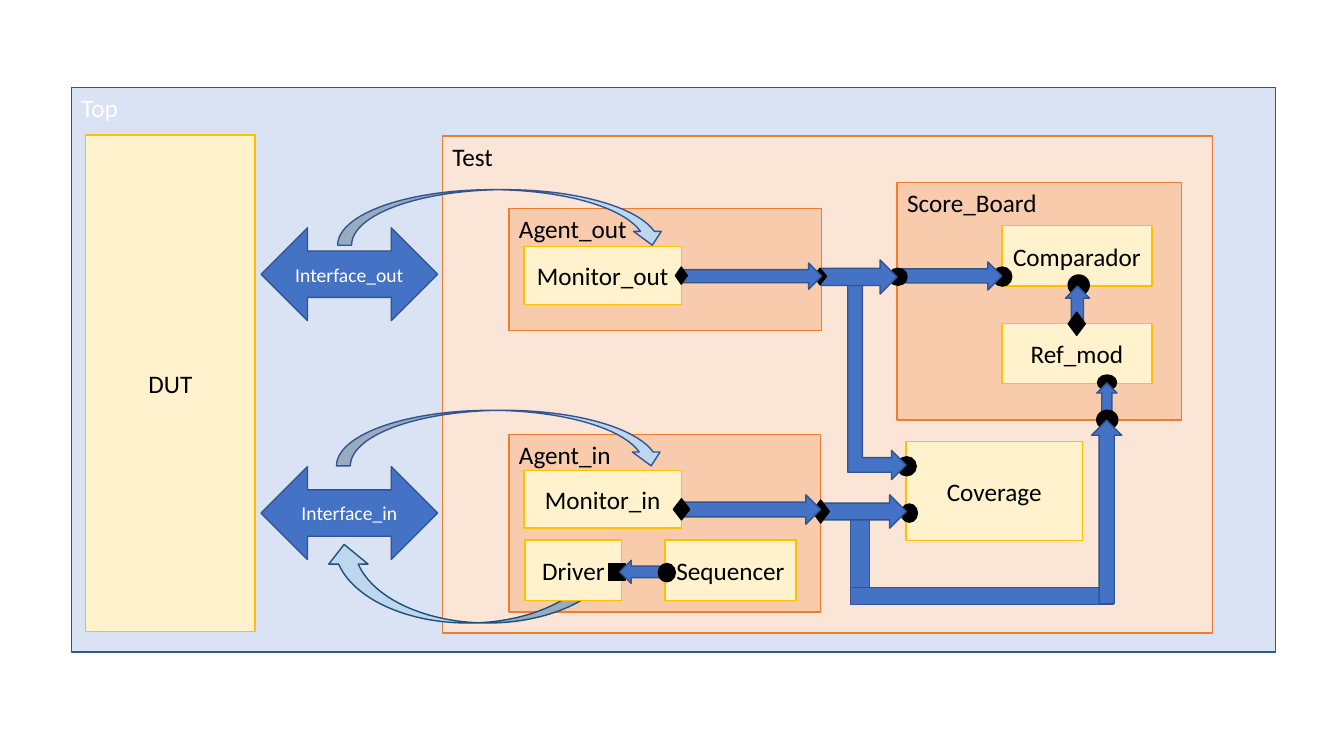
from pptx import Presentation
from pptx.dml.color import RGBColor
from pptx.enum.shapes import MSO_SHAPE
from pptx.enum.text import MSO_ANCHOR, PP_ALIGN
from pptx.util import Cm, Pt

RECTANGLE = MSO_SHAPE.RECTANGLE
ELLIPSE = MSO_SHAPE.OVAL
DIAMOND = MSO_SHAPE.FLOWCHART_DECISION
RIGHT = MSO_SHAPE.RIGHT_ARROW
LEFT = MSO_SHAPE.LEFT_ARROW
UP = MSO_SHAPE.UP_ARROW
BOTH = MSO_SHAPE.LEFT_RIGHT_ARROW
BENT = MSO_SHAPE.BENT_UP_ARROW
CURVED_DOWN = MSO_SHAPE.CURVED_DOWN_ARROW
CURVED_UP = MSO_SHAPE.CURVED_UP_ARROW
TOP, MIDDLE = MSO_ANCHOR.TOP, MSO_ANCHOR.MIDDLE
ALIGN_LEFT, CENTER = PP_ALIGN.LEFT, PP_ALIGN.CENTER


def color(value):
    return RGBColor.from_string(value)


class Diagram:
    font = "Calibri"
    black, white = "000000", "FFFFFF"
    blue, navy = "4472C4", "325491"
    orange, yellow, cream = "ED7D31", "FFC000", "FFF2CC"
    sky, deep_blue = "BDD7EE", "1F4E79"

    def __init__(self, slide):
        self.slide = slide

    def shape(self, kind, left, top, width, height, fill, line):
        shape = self.slide.shapes.add_shape(kind, Cm(left), Cm(top), Cm(width), Cm(height))
        shape.shadow.inherit = False
        shape.fill.solid()
        shape.fill.fore_color.rgb = color(fill)
        shape.line.color.rgb = color(line)
        shape.line.width = Pt(1)
        return shape

    def label(self, shape, text, size, ink, anchor, alignment):
        frame = shape.text_frame
        frame.word_wrap = True
        frame.vertical_anchor = anchor
        paragraph = frame.paragraphs[0]
        paragraph.text = text
        paragraph.alignment = alignment
        paragraph.font.name = self.font
        paragraph.font.size = Pt(size)
        paragraph.font.color.rgb = color(ink)

    def container(self, text, left, top, width, height, fill, line=orange, ink=black):
        shape = self.shape(RECTANGLE, left, top, width, height, fill, line)
        self.label(shape, text, 18, ink, TOP, ALIGN_LEFT)

    def block(self, text, left, top, width, height):
        shape = self.shape(RECTANGLE, left, top, width, height, self.cream, self.yellow)
        self.label(shape, text, 18, self.black, MIDDLE, CENTER)

    def interface(self, text, top):
        shape = self.shape(BOTH, 6.58, top, 4.45, 2.34, self.blue, self.navy)
        self.label(shape, text, 14, self.white, MIDDLE, CENTER)

    def flow(self, kind, left, top, width, height, rotation=0):
        shape = self.shape(kind, left, top, width, height, self.blue, self.navy)
        shape.rotation = rotation

    def port(self, kind, left, top, width, height):
        self.shape(kind, left, top, width, height, self.black, self.black)

    def monitor_curve(self, left, top):
        self.shape(CURVED_DOWN, left, top, 8.28, 1.4, self.sky, self.navy)

    def driver_curve(self, left, top, width, height):
        shape = self.shape(CURVED_UP, left, top, width, height, self.sky, self.deep_blue)
        shape._element.spPr.xfrm.set("flipH", "1")


def main():
    presentation = Presentation()
    presentation.slide_width = Cm(33.87)
    presentation.slide_height = Cm(19.05)
    slide = presentation.slides.add_slide(presentation.slide_layouts[6])
    diagram = Diagram(slide)

    diagram.container("Top", 1.8, 2.21, 30.35, 14.22, "DAE3F3", diagram.navy, diagram.white)
    diagram.container("Test", 11.15, 3.43, 19.41, 12.52, "FBE5D6")
    diagram.block("DUT", 2.16, 3.4, 4.27, 12.52)
    for text, *place in [
        ("Agent_out", 12.83, 5.26, 7.87, 3.07),
        ("Score_Board", 22.61, 4.6, 7.16, 5.99),
        ("Agent_in", 12.83, 10.95, 7.85, 4.47),
    ]:
        diagram.container(text, *place, "F8CBAD")
    diagram.block("Coverage", 22.83, 11.13, 4.45, 2.49)
    diagram.block("Monitor_out", 13.21, 6.22, 3.96, 1.45)
    diagram.block("Comparador", 25.25, 5.69, 3.78, 1.52)
    diagram.interface("Interface_out", 5.74)
    diagram.interface("Interface_in", 11.76)

    diagram.flow(RECTANGLE, 21.44, 12.7, 0.48, 2.54)
    diagram.flow(RECTANGLE, 21.44, 14.81, 6.63, 0.43)
    diagram.driver_curve(8.18, 13.72, 7.47, 1.98)
    diagram.block("Driver", 13.23, 13.61, 2.44, 1.52)
    diagram.monitor_curve(8.48, 10.34)
    diagram.monitor_curve(8.51, 4.78)

    diagram.port(ELLIPSE, 26.92, 6.93, 0.53, 0.51)
    diagram.flow(UP, 26.85, 7.21, 0.61, 2.21)
    diagram.block("Ref_mod", 25.25, 8.15, 3.78, 1.52)
    for port, arrow, place in [
        ((27.66, 9.45, 0.48, 0.38), UP, (27.64, 9.65, 0.51, 0.94)),
        ((27.64, 10.34, 0.53, 0.48), UP, (27.51, 10.59, 0.76, 4.62)),
        ((22.71, 12.7, 0.41, 0.46), RIGHT, (20.68, 12.47, 2.16, 0.84)),
        ((22.61, 11.51, 0.48, 0.48), BENT, (19.51, 8.76, 5.18, 1.47, 90)),
        ((25.02, 6.73, 0.48, 0.48), RIGHT, (22.68, 6.6, 2.57, 0.71)),
        ((22.4, 6.76, 0.46, 0.43), RIGHT, (20.68, 6.55, 1.93, 0.86)),
    ]:
        diagram.port(ELLIPSE, *port)
        diagram.flow(arrow, *place)

    diagram.port(RECTANGLE, 15.34, 14.2, 0.41, 0.43)
    diagram.flow(LEFT, 15.62, 14.12, 2.74, 0.58)
    diagram.block("Sequencer", 16.76, 13.61, 3.3, 1.52)
    diagram.port(ELLIPSE, 16.59, 14.2, 0.43, 0.46)

    diagram.port(DIAMOND, 20.47, 12.6, 0.43, 0.58)
    diagram.flow(RIGHT, 17.17, 12.47, 3.51, 0.74)
    diagram.block("Monitor_in", 13.21, 11.86, 3.96, 1.45)
    diagram.port(DIAMOND, 16.97, 12.57, 0.41, 0.53)
    diagram.port(DIAMOND, 20.5, 6.76, 0.33, 0.41)
    diagram.flow(RIGHT, 17.2, 6.63, 3.51, 0.66)
    diagram.port(DIAMOND, 17.02, 6.73, 0.3, 0.43)
    diagram.port(DIAMOND, 26.92, 7.87, 0.43, 0.58)

    presentation.save("out.pptx")


if __name__ == "__main__":
    main()
